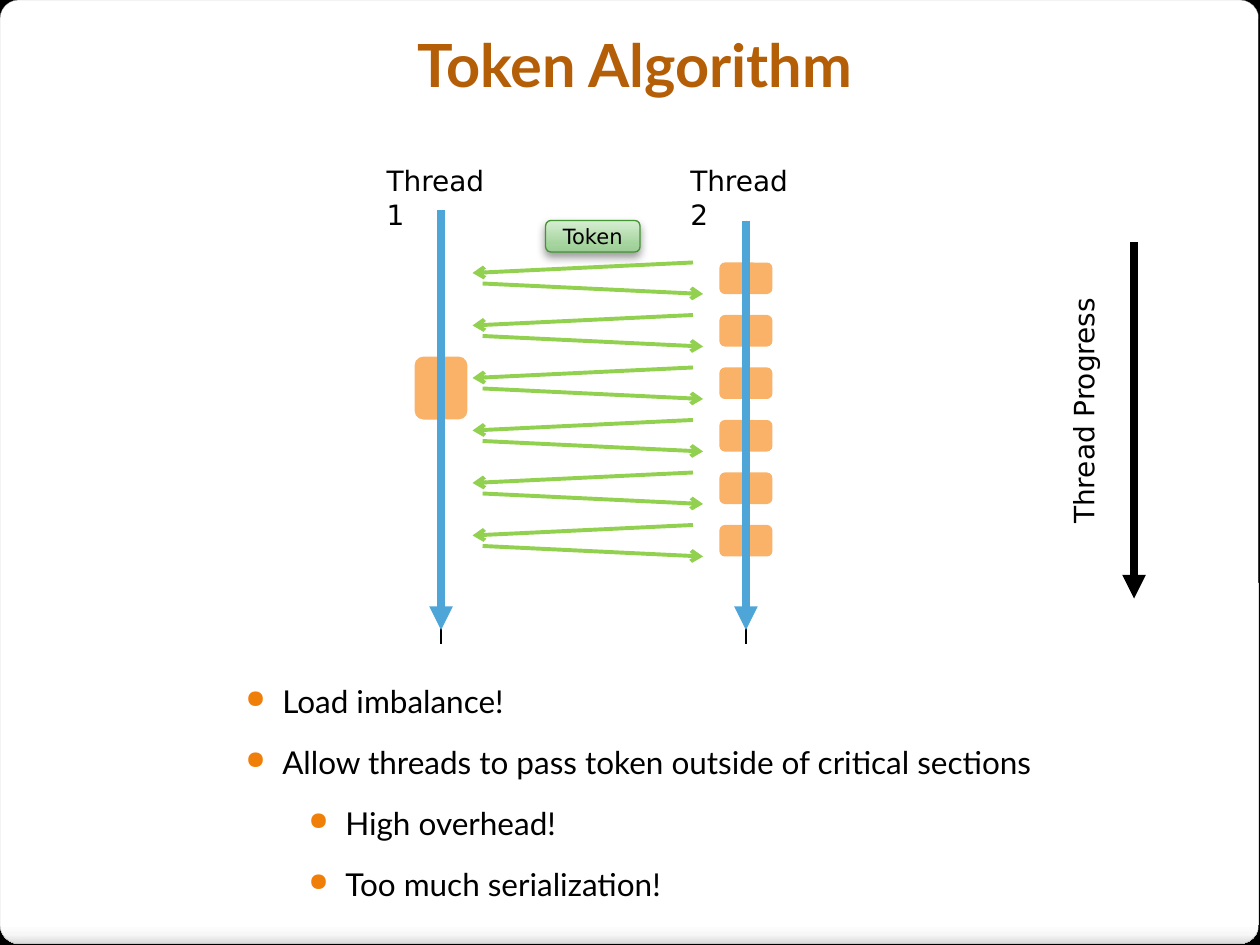
from lxml.etree import SubElement
from pptx import Presentation
from pptx.dml.color import RGBColor
from pptx.enum.shapes import MSO_CONNECTOR, MSO_SHAPE
from pptx.enum.text import MSO_ANCHOR, PP_ALIGN
from pptx.oxml.ns import qn
from pptx.util import Inches, Pt

TITLE = "Token Algorithm"
THREADS = [("Thread 1", 3.5, 1.67, 2.97), ("Thread 2", 5.92, 1.75, 5.38)]
BULLETS = [
    ("Load imbalance!", 0),
    ("Allow threads to pass token outside of critical sections", 0),
    ("High overhead!", 1),
    ("Too much serialization!", 1),
]
CARD_STOPS = [(0, "FFFFFF"), (98, "FFFFFF"), (99, "F7F7F7"), (100, "DADADA")]
TOKEN_STOPS = [(0, "9DCD96"), (25, "A5D49E"), (100, "D7EED3")]
BLACK, BLUE, GREEN, ORANGE = "000000", "4EA5D8", "92D050", "F9B268"
FIRST, UNIT = 25 / 12, 1 / 12
PASSES, STEP = 6, 5 * UNIT


def rgb(value):
    return RGBColor.from_string(value)


def node(parent, tag, **attrs):
    return SubElement(parent, qn(tag), {k: str(v) for k, v in attrs.items()})


def gradient(sp, stops, angle):
    sp.fill.gradient()
    grad = sp._element.spPr.find(qn("a:gradFill"))
    for child in list(grad):
        grad.remove(child)
    gs_list = node(grad, "a:gsLst")
    for pos, color in stops:
        node(node(gs_list, "a:gs", pos=pos * 1000), "a:srgbClr", val=color)
    node(grad, "a:lin", ang=angle * 60000, scaled=0)


def box(shapes, x, y, w, h, adj, fill=None, line=None, width=0.75):
    sp = shapes.add_shape(MSO_SHAPE.ROUNDED_RECTANGLE, *map(Inches, (x, y, w, h)))
    sp.adjustments[0] = adj
    sp.shadow.inherit = False
    if fill:
        sp.fill.solid()
        sp.fill.fore_color.rgb = rgb(fill)
    if line:
        sp.line.color.rgb = rgb(line)
        sp.line.width = Pt(width)
    else:
        sp.line.fill.background()
    return sp


def arrow(shapes, start, end, color, width, head=None):
    cx = shapes.add_connector(MSO_CONNECTOR.STRAIGHT, *map(Inches, start + end))
    cx.line.color.rgb = rgb(color)
    cx.line.width = Pt(width)
    if head:
        node(cx.line._get_or_add_ln(), "a:tailEnd", type=head)
    node(cx._element.spPr, "a:effectLst")


def write(p, text, size=16, font="DejaVu Sans", color=BLACK, bold=False, align=PP_ALIGN.LEFT):
    p.alignment = align
    r = p.add_run()
    r.text = text
    r.font.size, r.font.name, r.font.bold = Pt(size), font, bold
    r.font.color.rgb = rgb(color)


def text_box(s, x, y, w, h):
    tb = s.shapes.add_textbox(*map(Inches, (x, y, w, h)))
    tb.text_frame.word_wrap = True
    return tb


def bullet(p, level, first):
    p.level = level
    p.line_spacing = 1.2
    p.space_before, p.space_after = Pt(0 if first else 6), Pt(3)
    pPr = p._p.get_or_add_pPr()
    pPr.set("marL", str(Inches(0.29 + 0.5 * level)))
    pPr.set("indent", str(Inches(-0.29)))
    node(node(pPr, "a:buClr"), "a:srgbClr", val="F07F09")
    node(pPr, "a:buSzPct", val=80000)
    node(pPr, "a:buChar", char="●")


def add_token(s):
    sp = box(s.shapes, 4.33, 1.75, 0.75, 0.25, 0.17, line="439631")
    gradient(sp, TOKEN_STOPS, 270)
    effects = sp._element.spPr.find(qn("a:effectLst"))
    shadow = node(effects, "a:outerShdw", blurRad=Pt(5.2), dist=Pt(3), dir=5400000, rotWithShape=0)
    node(node(shadow, "a:srgbClr", val=BLACK), "a:alpha", val=40000)
    tf = sp.text_frame
    tf.vertical_anchor = MSO_ANCHOR.MIDDLE
    write(tf.paragraphs[0], "Token", size=12, align=PP_ALIGN.CENTER)


def add_threads(s):
    for name, x, top, label_x in THREADS:
        arrow(s.shapes, (x, 1.75), (x, 5.11), BLACK, 1.5)
        write(text_box(s, label_x, 1.25, 1.09, 0.37).text_frame.paragraphs[0], name)
    box(s.shapes, 3.29, 2.83, 0.42, 0.5, 0.17, ORANGE)
    for i in range(PASSES):
        box(s.shapes, 5.71, FIRST + i * STEP, 0.42, 0.25, 0.17, ORANGE)
    for name, x, top, label_x in THREADS:
        arrow(s.shapes, (x, top), (x, 5), BLUE, 4.5, "triangle")


def add_passes(s):
    for start in range(0, PASSES, 3):
        group = s.shapes.add_group_shape()
        for i in range(start, start + 3):
            y = FIRST + i * STEP
            arrow(group.shapes, (5.5, y), (3.75, y + UNIT), GREEN, 2.25, "arrow")
            arrow(group.shapes, (3.83, y + 2 * UNIT), (5.58, y + 3 * UNIT), GREEN, 2.25, "arrow")


def add_bullets(s):
    tf = text_box(s, 1.75, 5.25, 7.25, 1.58).text_frame
    tf.margin_left, tf.margin_top = Inches(0.2), Inches(0.1)
    for i, (text, level) in enumerate(BULLETS):
        p = tf.add_paragraph() if i else tf.paragraphs[0]
        bullet(p, level, i == 0)
        write(p, text, size=18, font="Lato")


def main():
    """Build the token algorithm slide."""
    prs = Presentation()
    prs.slide_width, prs.slide_height = Inches(10), Inches(7.5)
    s = prs.slides.add_slide(prs.slide_layouts[6])
    s.background.fill.solid()
    s.background.fill.fore_color.rgb = rgb(BLACK)
    card = box(s.shapes, 0, 0, 9.99, 7.49, 0.02, line="A4A4A4", width=0.16)
    gradient(card, CARD_STOPS, 90)
    title = text_box(s, 0.25, 0.17, 9.58, 0.83).text_frame.paragraphs[0]
    write(title, TITLE, size=34, font="Lato", color="B45F07", bold=True, align=PP_ALIGN.CENTER)
    add_threads(s)
    arrow(s.shapes, (9, 1.92), (9, 4.75), BLACK, 4.5, "triangle")
    progress = text_box(s, 7.58, 3.05, 2.04, 0.37)
    progress.rotation = 270
    write(progress.text_frame.paragraphs[0], "Thread Progress")
    add_token(s)
    add_passes(s)
    add_bullets(s)
    prs.save("out.pptx")


if __name__ == "__main__":
    main()
